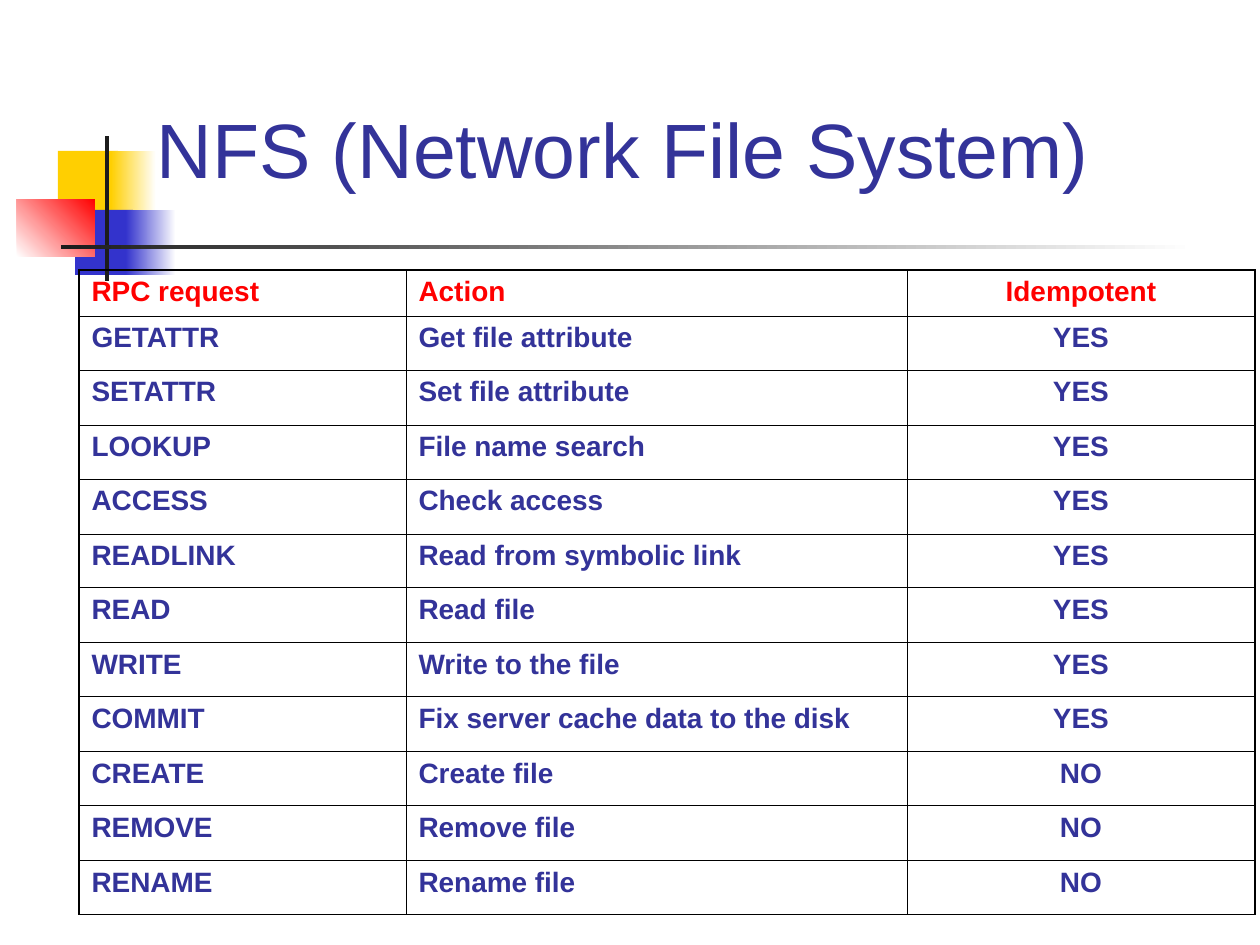
from dataclasses import dataclass
from itertools import pairwise
from typing import Optional

import pptx
import pptx.dml.color
import pptx.enum.shapes
import pptx.enum.text
import pptx.oxml
import pptx.oxml.ns
import pptx.util

RGBColor = pptx.dml.color.RGBColor
PP_ALIGN = pptx.enum.text.PP_ALIGN

PIXELS_PER_INCH = 126
YELLOW = RGBColor(0xFF, 0xCF, 0x01)
BLUE = RGBColor(0x33, 0x33, 0xCC)
RED = RGBColor(0xFF, 0x00, 0x00)
WHITE = RGBColor(0xFF, 0xFF, 0xFF)
CHARCOAL = RGBColor(0x1C, 0x1C, 0x1C)
BLACK = RGBColor(0x00, 0x00, 0x00)
INDIGO = RGBColor(0x33, 0x33, 0x99)
FONT = "Arial"
OUTER_BORDER = 1.08
INNER_BORDER = 0.45


@dataclass(frozen=True)
class Block:
    left: int
    top: int
    width: int
    height: int
    color: RGBColor
    end_color: Optional[RGBColor] = None
    angle: int = 0


@dataclass(frozen=True)
class Request:
    name: str
    action: str
    idempotent: str


BLOCKS = [
    Block(58, 151, 60, 65, YELLOW),
    Block(111, 151, 45, 65, YELLOW, WHITE),
    Block(75, 210, 58, 65, BLUE),
    Block(126, 210, 50, 65, BLUE, WHITE),
    Block(17, 199, 78, 58, WHITE, RED, 45),
    Block(105, 136, 4, 145, CHARCOAL),
    Block(61, 245, 1134, 4, CHARCOAL, WHITE),
]

REQUESTS = [
    Request("RPC request", "Action", "Idempotent"),
    Request("GETATTR", "Get file attribute", "YES"),
    Request("SETATTR", "Set file attribute", "YES"),
    Request("LOOKUP", "File name search", "YES"),
    Request("ACCESS", "Check access", "YES"),
    Request("READLINK", "Read from symbolic link", "YES"),
    Request("READ", "Read file", "YES"),
    Request("WRITE", "Write to the file", "YES"),
    Request("COMMIT", "Fix server cache data to the disk", "YES"),
    Request("CREATE", "Create file", "NO"),
    Request("REMOVE", "Remove file", "NO"),
    Request("RENAME", "Rename file", "NO"),
]

COLUMN_EDGES = [79, 406, 907, 1255]
TABLE_TOP, BODY_TOP, TABLE_BOTTOM = 270, 316, 915
BODY_ROWS = len(REQUESTS) - 1
ROW_EDGES = [TABLE_TOP] + [
    round(BODY_TOP + (TABLE_BOTTOM - BODY_TOP) * index / BODY_ROWS)
    for index in range(BODY_ROWS + 1)
]


def px(length: int) -> pptx.util.Emu:
    return pptx.util.Emu(round(length * 914400 / PIXELS_PER_INCH))


def format_paragraph(paragraph, size: int, color: RGBColor, bold: bool,
                     alignment: PP_ALIGN = PP_ALIGN.LEFT) -> None:
    paragraph.alignment = alignment
    paragraph.font.name = FONT
    paragraph.font.size = pptx.util.Pt(size)
    paragraph.font.bold = bold
    paragraph.font.color.rgb = color


def draw_block(slide, block: Block) -> None:
    shape = slide.shapes.add_shape(
        pptx.enum.shapes.MSO_SHAPE.RECTANGLE,
        px(block.left), px(block.top), px(block.width), px(block.height))
    shape.shadow.inherit = False
    shape.line.fill.background()
    if block.end_color is None:
        shape.fill.solid()
        shape.fill.fore_color.rgb = block.color
        return
    shape.fill.gradient()
    shape.fill.gradient_angle = block.angle
    for stop, color, position in zip(
            shape.fill.gradient_stops, (block.color, block.end_color), (0, 1)):
        stop.color.rgb = color
        stop.position = position


def draw_title(slide, text: str) -> None:
    title = slide.shapes.title
    title.left, title.top, title.width, title.height = (
        px(144), px(106), px(1074), px(94))
    frame = title.text_frame
    frame.text = text
    frame.word_wrap = True
    frame.auto_size = pptx.enum.text.MSO_AUTO_SIZE.NONE
    frame.vertical_anchor = pptx.enum.text.MSO_ANCHOR.BOTTOM
    format_paragraph(frame.paragraphs[0], 44, INDIGO, False)
    title.element.getparent().append(title.element)


def set_borders(cell, outer_sides: dict[str, bool]) -> None:
    properties = cell._tc.get_or_add_tcPr()
    for side, is_outer in outer_sides.items():
        width = pptx.util.Pt(OUTER_BORDER if is_outer else INNER_BORDER)
        properties.append(pptx.oxml.parse_xml(
            f'<a:ln{side} {pptx.oxml.ns.nsdecls("a")} w="{width}">'
            f'<a:solidFill><a:srgbClr val="{BLACK}"/></a:solidFill>'
            f'</a:ln{side}>'))


def draw_table(slide, requests: list[Request]) -> None:
    columns, rows = len(COLUMN_EDGES) - 1, len(requests)
    table = slide.shapes.add_table(
        rows, columns, px(COLUMN_EDGES[0]), px(TABLE_TOP),
        px(COLUMN_EDGES[-1] - COLUMN_EDGES[0]),
        px(TABLE_BOTTOM - TABLE_TOP)).table
    table.first_row = False
    table.horz_banding = False
    for column, (left, right) in zip(table.columns, pairwise(COLUMN_EDGES)):
        column.width = px(right - left)
    for row, (top, bottom) in zip(table.rows, pairwise(ROW_EDGES)):
        row.height = px(bottom - top)
    for row_index, request in enumerate(requests):
        values = (request.name, request.action, request.idempotent)
        for column_index, value in enumerate(values):
            cell = table.cell(row_index, column_index)
            cell.text = value
            is_last_column = column_index == columns - 1
            format_paragraph(
                cell.text_frame.paragraphs[0], 16,
                RED if row_index == 0 else INDIGO, True,
                PP_ALIGN.CENTER if is_last_column else PP_ALIGN.LEFT)
            set_borders(cell, {
                "L": column_index == 0, "R": is_last_column,
                "T": row_index == 0, "B": row_index == rows - 1})
            cell.fill.background()


def main() -> None:
    presentation = pptx.Presentation()
    presentation.slide_width = px(1260)
    presentation.slide_height = px(945)
    slide = presentation.slides.add_slide(presentation.slide_layouts[5])
    for block in BLOCKS:
        draw_block(slide, block)
    draw_title(slide, "NFS (Network File System)")
    draw_table(slide, REQUESTS)
    presentation.save("out.pptx")


if __name__ == "__main__":
    main()
